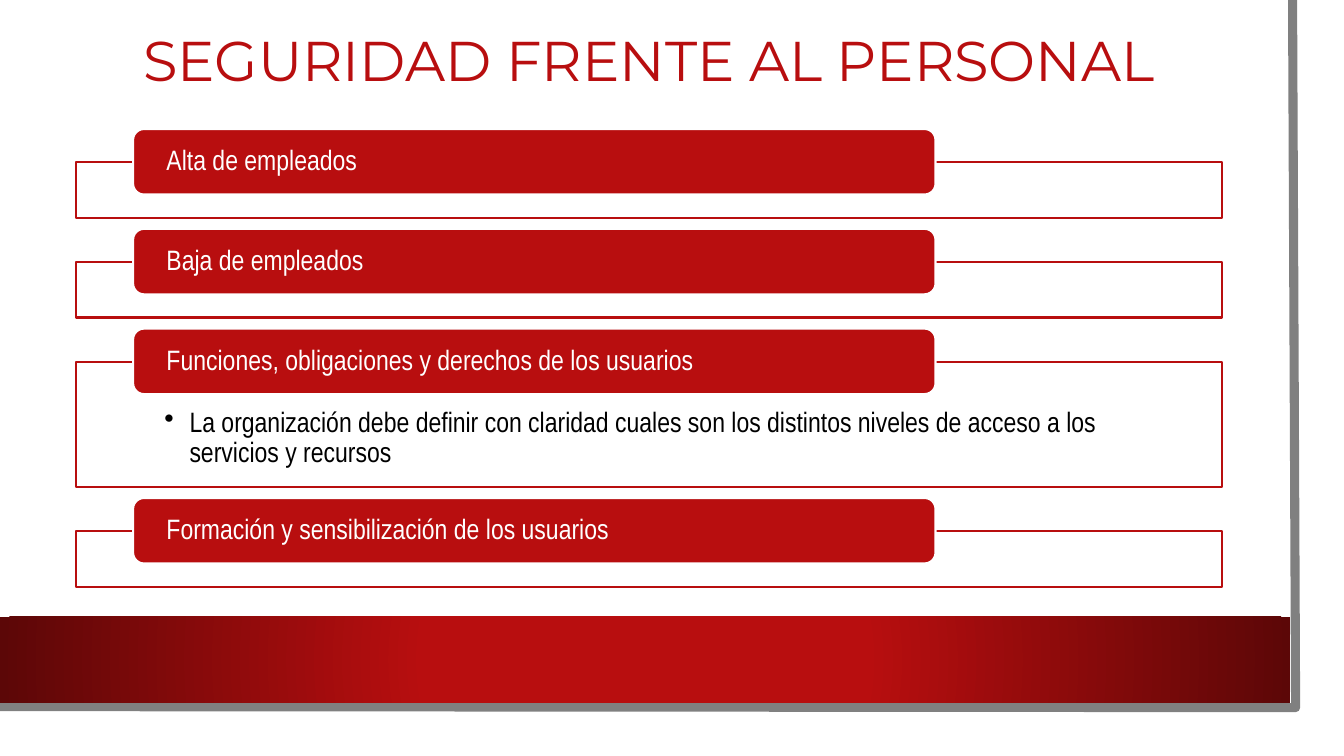
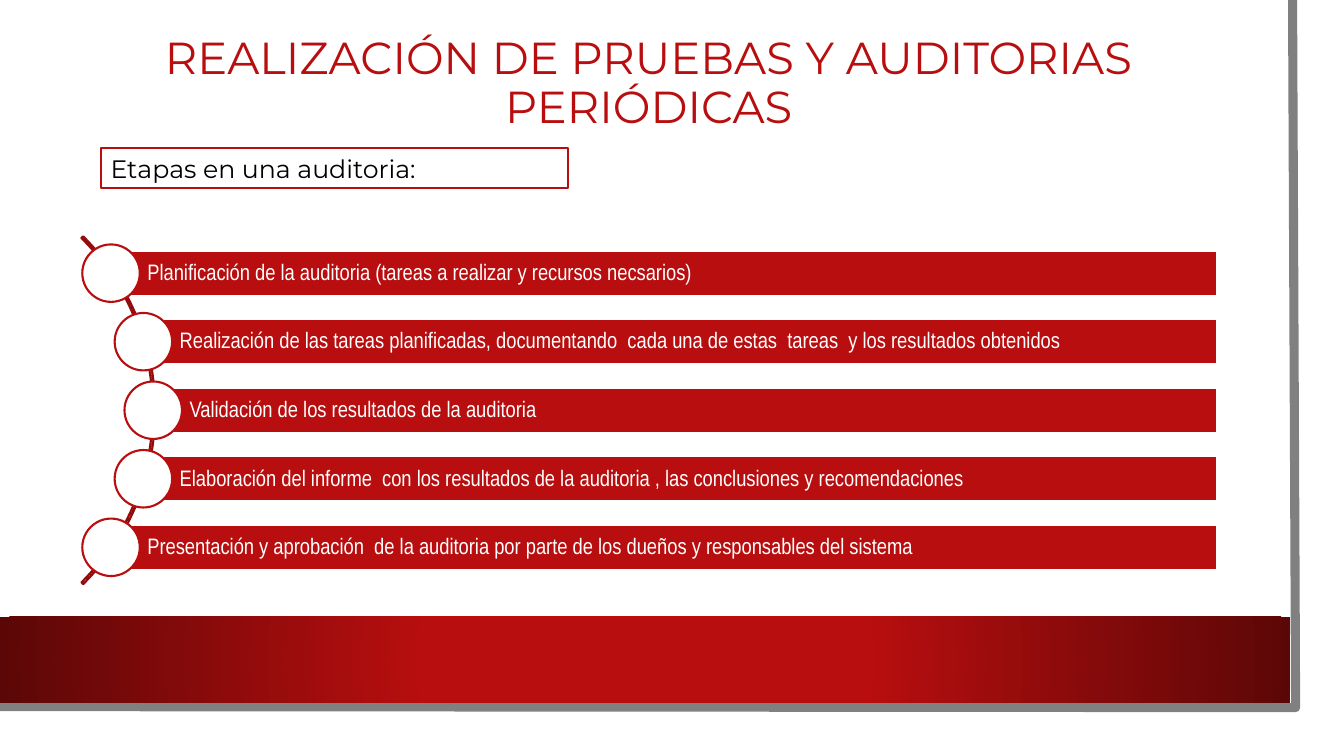
import math

import pptx
import pptx.dml.color
import pptx.enum.shapes
import pptx.enum.text
import pptx.oxml
import pptx.oxml.ns
import pptx.util

PX = 9144
C = {"red": "B80E0F", "dark": "5C0707", "arc": "930B0C", "edge": "808080",
     "white": "FFFFFF", "black": "000000"}
HEAD, BODY = "Montserrat", "Arial Narrow"
SHAPE = pptx.enum.shapes.MSO_SHAPE
ANCHOR = pptx.enum.text.MSO_ANCHOR
ALIGN = pptx.enum.text.PP_ALIGN

SECTIONS = [
    ("Alta de empleados", None),
    ("Baja de empleados", None),
    ("Funciones, obligaciones y derechos de los usuarios",
     "La organización debe definir con claridad cuales son los distintos niveles "
     "de acceso a los servicios y recursos"),
    ("Formación y sensibilización de los usuarios", None),
]
STAGES = [
    "Planificación de la auditoria (tareas a realizar y recursos necsarios)",
    "Realización de las tareas planificadas, documentando  cada una de estas  tareas  "
    "y los resultados obtenidos",
    "Validación de los resultados de la auditoria",
    "Elaboración del informe  con los resultados de la auditoria , las conclusiones "
    "y recomendaciones",
    "Presentación y aprobación  de la auditoria por parte de los dueños y responsables "
    "del sistema",
]


def emu(*lengths):
    """Turn px lengths into EMU."""
    return [pptx.util.Emu(round(n * PX)) for n in lengths]


def rgb(name):
    """Look up a palette colour."""
    return pptx.dml.color.RGBColor.from_string(C[name])


def paint(sp, fill=None, line=None, width=1.5):
    """Set fill and line of a shape and drop its shadow."""
    sp.shadow.inherit = False
    if fill:
        sp.fill.solid()
        sp.fill.fore_color.rgb = rgb(fill)
    else:
        sp.fill.background()
    if line:
        sp.line.color.rgb = rgb(line)
        sp.line.width = pptx.util.Pt(width)
    else:
        sp.line.fill.background()


def add_box(s, kind, box, fill=None, line=None):
    """Add a painted preset shape."""
    sp = s.shapes.add_shape(kind, *emu(*box))
    paint(sp, fill, line)
    return sp


def write(sp, text, size=20, font=BODY, color="white", align=ALIGN.LEFT,
          anchor=ANCHOR.MIDDLE, insets=(10, 5, 10, 5), spacing=0.9, bullet=0):
    """Write one formatted paragraph into a shape."""
    tf = sp.text_frame
    tf.word_wrap = True
    tf.auto_size = pptx.enum.text.MSO_AUTO_SIZE.NONE
    tf.vertical_anchor = anchor
    tf.margin_left, tf.margin_top, tf.margin_right, tf.margin_bottom = emu(*insets)
    p = tf.paragraphs[0]
    p.alignment, p.line_spacing = align, spacing
    if bullet:
        pPr = p._p.get_or_add_pPr()
        pPr.set("marL", str(bullet * PX))
        pPr.set("indent", str(-bullet * PX))
        bu = pptx.oxml.parse_xml(
            f'<a:buChar {pptx.oxml.ns.nsdecls("a")} char="•"/>')
        pPr.append(bu)
    r = p.add_run()
    r.text = text
    r.font.size, r.font.name = pptx.util.Pt(size), font
    r.font.color.rgb = rgb(color)


def add_radial_fill(sp, inner, outer):
    """Fill a shape from its centre outwards."""
    grad = pptx.oxml.parse_xml(
        f'<a:gradFill {pptx.oxml.ns.nsdecls("a")} rotWithShape="1"><a:gsLst>'
        f'<a:gs pos="34000"><a:srgbClr val="{C[inner]}"/></a:gs>'
        f'<a:gs pos="100000"><a:srgbClr val="{C[outer]}"/></a:gs></a:gsLst>'
        '<a:path path="circle"><a:fillToRect l="50000" t="50000" r="50000" b="50000"/>'
        '</a:path></a:gradFill>')
    spPr = sp.element.spPr
    old = spPr.find(pptx.oxml.ns.qn("a:noFill"))
    spPr.replace(old, grad)


def dress_layout(layout, s):
    """Give the layout its sheet, grey edge and red band."""
    sheet = add_box(s, SHAPE.RECTANGLE, (0, 0, 1310, 727), "white")
    fb = s.shapes.build_freeform(1282, 0, scale=PX)
    fb.add_line_segments([(1285, 702), (-3, 701)], close=False)
    edge = fb.convert_to_shape()
    paint(edge, None, "edge", 6.5)
    band = add_box(s, SHAPE.RECTANGLE, (0, 612, 1280, 85))
    add_radial_fill(band, "red", "dark")
    for sp in (sheet, edge, band):
        layout.shapes.element.append(sp.element)


def add_title(s, text, top, size):
    """Place and format the title placeholder."""
    sp = s.shapes.title
    sp.left, sp.top, sp.width, sp.height = emu(75, top, 1137, 126)
    write(sp, text, size=size, font=HEAD, color="red", align=ALIGN.CENTER)


def add_sections(s, x, y, w, sections):
    """Stack outlined boxes, each with a tab over its top edge."""
    for name, detail in sections:
        h = 124 if detail else 55
        frame = add_box(s, SHAPE.RECTANGLE, (x, y, w, h), "white", "red")
        if detail:
            write(frame, detail, color="black", anchor=ANCHOR.TOP,
                  insets=(88, 46, 88, 16), bullet=25)
        tab = add_box(s, SHAPE.ROUNDED_RECTANGLE, (x + 57, y - 33, w * 0.7, 65),
                      "red", "white")
        write(tab, name, insets=(30, 0, 30, 0))
        y += h + 44


def add_stages(s, cx, cy, radius, right, stages):
    """Set bars with round markers along an arc centred on cx, cy."""
    pitch, h, d = 68, 45, 57
    rim = radius + 2
    arc = add_box(s, SHAPE.BLOCK_ARC, (cx - rim, cy - rim, 2 * rim, 2 * rim),
                  None, "arc")
    for i, value in enumerate((189, 27, 0.005)):
        arc.adjustments[i] = value
    for i, text in enumerate(stages):
        dy = (i - (len(stages) - 1) / 2) * pitch
        x, y = cx + math.sqrt(radius ** 2 - dy ** 2), cy + dy
        bar = add_box(s, SHAPE.RECTANGLE, (x, y - h / 2, right - x, h), "red", "white")
        write(bar, text, size=16, insets=(36, 4, 4, 4))
        add_box(s, SHAPE.OVAL, (x - d / 2, y - d / 2, d, d), "white", "red")


def main():
    """Build and save the deck."""
    prs = pptx.Presentation()
    prs.slide_width, prs.slide_height = emu(1333, 750)
    layout = prs.slide_layouts[5]

    s = prs.slides.add_slide(layout)
    dress_layout(layout, s)
    add_title(s, "SEGURIDAD FRENTE AL PERSONAL", 0, 40)
    add_sections(s, 75, 161, 1137, SECTIONS)

    s = prs.slides.add_slide(layout)
    add_title(s, "REALIZACIÓN DE PRUEBAS Y AUDITORIAS PERIÓDICAS", 21, 32)
    add_stages(s, -90, 407, 242, 1207, STAGES)
    label = add_box(s, SHAPE.RECTANGLE, (100, 147, 463, 40), "white", "red")
    write(label, "Etapas en una auditoria:", size=18, font=HEAD, color="black",
          spacing=1.0)

    prs.save("out.pptx")


if __name__ == "__main__":
    main()
